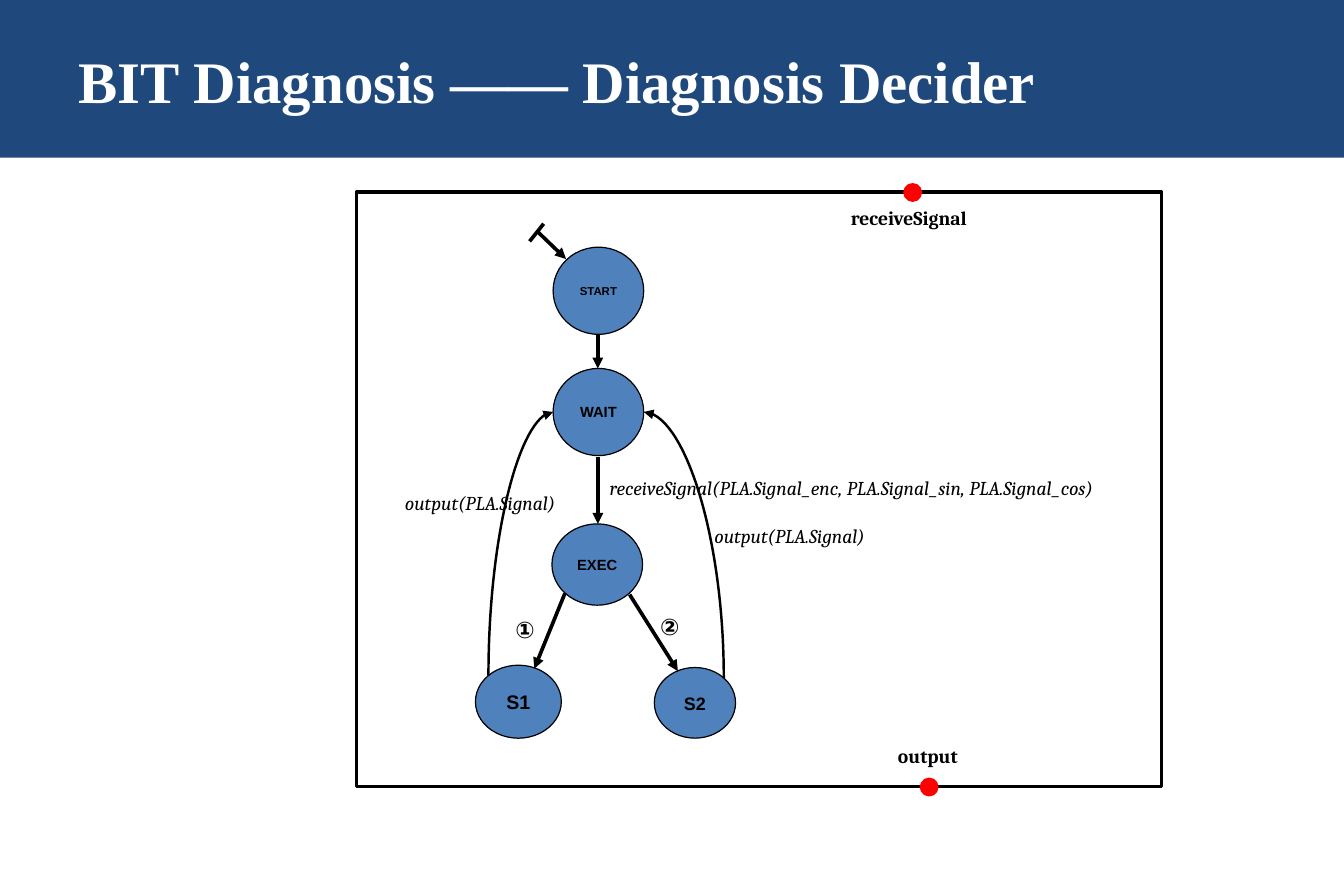
"""Build the diagnosis decider state diagram slide."""
from dataclasses import dataclass
from typing import Optional

from lxml import etree
from pptx import Presentation
from pptx import util as u
from pptx.dml.color import RGBColor
from pptx.enum import shapes, text
from pptx.oxml.ns import qn

PX = 9144


@dataclass(frozen=True)
class Theme:
    navy: str = "1F497D"
    blue: str = "4F81BD"
    red: str = "FF0000"
    black: str = "000000"
    white: str = "FFFFFF"
    heading: str = "Times New Roman"
    state: str = "Arial"
    label: str = "Cambria"
    title_pt: int = 36
    marker_pt: int = 14
    label_pt: int = 12
    thick_pt: float = 2.25
    curve_pt: float = 1.5
    thin_pt: float = 0.75


@dataclass(frozen=True)
class Box:
    x: int
    y: int
    w: int
    h: int


@dataclass(frozen=True)
class State:
    name: str
    box: Box
    size: int


@dataclass(frozen=True)
class Label:
    words: str
    box: Box
    bold: bool = False


@dataclass(frozen=True)
class Link:
    x1: int
    y1: int
    x2: int
    y2: int
    arrow: bool = True


T = Theme()
KIND = shapes.MSO_SHAPE

FRAME = Box(303, 163, 684, 505)
MARKERS = [("②", Box(542, 508, 62, 54)), ("①", Box(419, 510, 62, 54))]
STATES = [
    State("START", Box(470, 210, 77, 74), 7),
    State("WAIT", Box(470, 313, 77, 74), 9),
    State("EXEC", Box(469, 445, 77, 69), 9),
    State("S1", Box(404, 565, 73, 62), 12),
    State("S2", Box(556, 567, 69, 60), 11),
]
LINKS = [
    Link(456, 196, 481, 220),
    Link(462, 190, 450, 205, arrow=False),
    Link(508, 284, 508, 313),
    Link(508, 388, 508, 445),
    Link(480, 504, 454, 568),
    Link(535, 505, 576, 570),
]
RETURNS = [Link(415, 574, 470, 350), Link(615, 576, 547, 350)]
LABELS = [
    Label("receiveSignal(PLA.Signal_enc, PLA.Signal_sin, PLA.Signal_cos)",
          Box(518, 404, 447, 20)),
    Label("output(PLA.Signal)", Box(344, 417, 164, 20)),
    Label("output(PLA.Signal)", Box(607, 445, 160, 20)),
    Label("receiveSignal", Box(723, 175, 104, 20), bold=True),
    Label("output", Box(763, 632, 52, 20), bold=True),
]
PORTS = [Box(768, 156, 15, 15), Box(782, 661, 15, 15)]


def emu(*px: float) -> list[u.Emu]:
    """Turn pixel lengths into EMU."""
    return [u.Emu(round(v * PX)) for v in px]


def add_shape(s, kind, b: Box, fill: str, line: Optional[str] = None,
              width: float = T.thin_pt):
    """Draw a filled preset shape."""
    sp = s.shapes.add_shape(kind, *emu(b.x, b.y, b.w, b.h))
    sp.shadow.inherit = False
    sp.fill.solid()
    sp.fill.fore_color.rgb = RGBColor.from_string(fill)
    if line:
        sp.line.color.rgb = RGBColor.from_string(line)
        sp.line.width = u.Pt(width)
    else:
        sp.line.fill.background()
    return sp


def write(sp, words: str, font: str, size: int, color: str = T.black,
          bold: bool = True, italic: bool = False, centred: bool = False,
          middle: bool = False, wrap: bool = True, inset: bool = True) -> None:
    """Put one styled paragraph into a shape."""
    tf = sp.text_frame
    tf.word_wrap = wrap
    tf.vertical_anchor = text.MSO_ANCHOR.MIDDLE if middle else text.MSO_ANCHOR.TOP
    if not inset:
        tf.margin_left = tf.margin_top = tf.margin_right = tf.margin_bottom = 0
    p = tf.paragraphs[0]
    p.text = words
    p.alignment = text.PP_ALIGN.CENTER if centred else text.PP_ALIGN.LEFT
    f = p.font
    f.name, f.size, f.bold, f.italic = font, u.Pt(size), bold, italic
    f.color.rgb = RGBColor.from_string(color)


def add_line(s, kind, ends: tuple[float, float, float, float], width: float,
             arrow: bool):
    """Draw a black connector, with an arrowhead if wanted."""
    c = s.shapes.add_connector(kind, *emu(*ends))
    c.line.color.rgb = RGBColor.from_string(T.black)
    c.line.width = u.Pt(width)
    if arrow:
        etree.SubElement(c.line._get_or_add_ln(), qn("a:tailEnd"), type="triangle")
    etree.SubElement(c.element.spPr, qn("a:effectLst"))
    return c


def add_return(s, k: Link) -> None:
    """Draw a quarter curve that leaves upwards and arrives sideways."""
    cx, cy = (k.x1 + k.x2) / 2, (k.y1 + k.y2) / 2
    rightward = k.x2 > k.x1
    dx = abs(k.y2 - k.y1) / 2 * (1 if rightward else -1)
    dy = abs(k.x2 - k.x1) / 2
    c = add_line(s, shapes.MSO_CONNECTOR.CURVE,
                 (cx + dx, cy + dy, cx - dx, cy - dy), T.curve_pt, True)
    c.element.spPr.find(qn("a:xfrm")).set("rot", str((90 if rightward else 270) * 60000))
    c.element.spPr.find(qn("a:prstGeom")).set("prst", "curvedConnector2")


def add_label(s, label: Label) -> None:
    """Write a transition or port label."""
    b = label.box
    sp = s.shapes.add_textbox(*emu(b.x, b.y, b.w, b.h))
    write(sp, label.words, T.label, T.label_pt, bold=label.bold,
          italic=not label.bold, wrap=False, inset=False)


def main() -> None:
    """Compose and save the slide."""
    prs = Presentation()
    prs.slide_width, prs.slide_height = emu(1142, 750)
    s = prs.slides.add_slide(prs.slide_layouts[6])

    add_shape(s, KIND.RECTANGLE, Box(0, 0, 1142, 134), T.navy)
    add_shape(s, KIND.RECTANGLE, FRAME, T.white, T.black, T.thick_pt)
    title = s.shapes.add_textbox(*emu(57, 5, 1028, 125))
    write(title, "BIT Diagnosis —— Diagnosis Decider", T.heading, T.title_pt,
          T.white, middle=True)

    for sign, box in MARKERS:
        sp = add_shape(s, KIND.OVAL, box, T.white, T.white)
        write(sp, sign, T.state, T.marker_pt)
    for state in STATES:
        sp = add_shape(s, KIND.OVAL, state.box, T.blue, T.black)
        write(sp, state.name, T.state, state.size, centred=True, middle=True,
              wrap=False, inset=False)
    for k in LINKS:
        add_line(s, shapes.MSO_CONNECTOR.STRAIGHT, (k.x1, k.y1, k.x2, k.y2),
                 T.thick_pt, k.arrow)
    for k in RETURNS:
        add_return(s, k)
    for label in LABELS:
        add_label(s, label)
    for port in PORTS:
        add_shape(s, KIND.FLOWCHART_CONNECTOR, port, T.red, T.red)

    prs.save("out.pptx")


if __name__ == "__main__":
    main()
